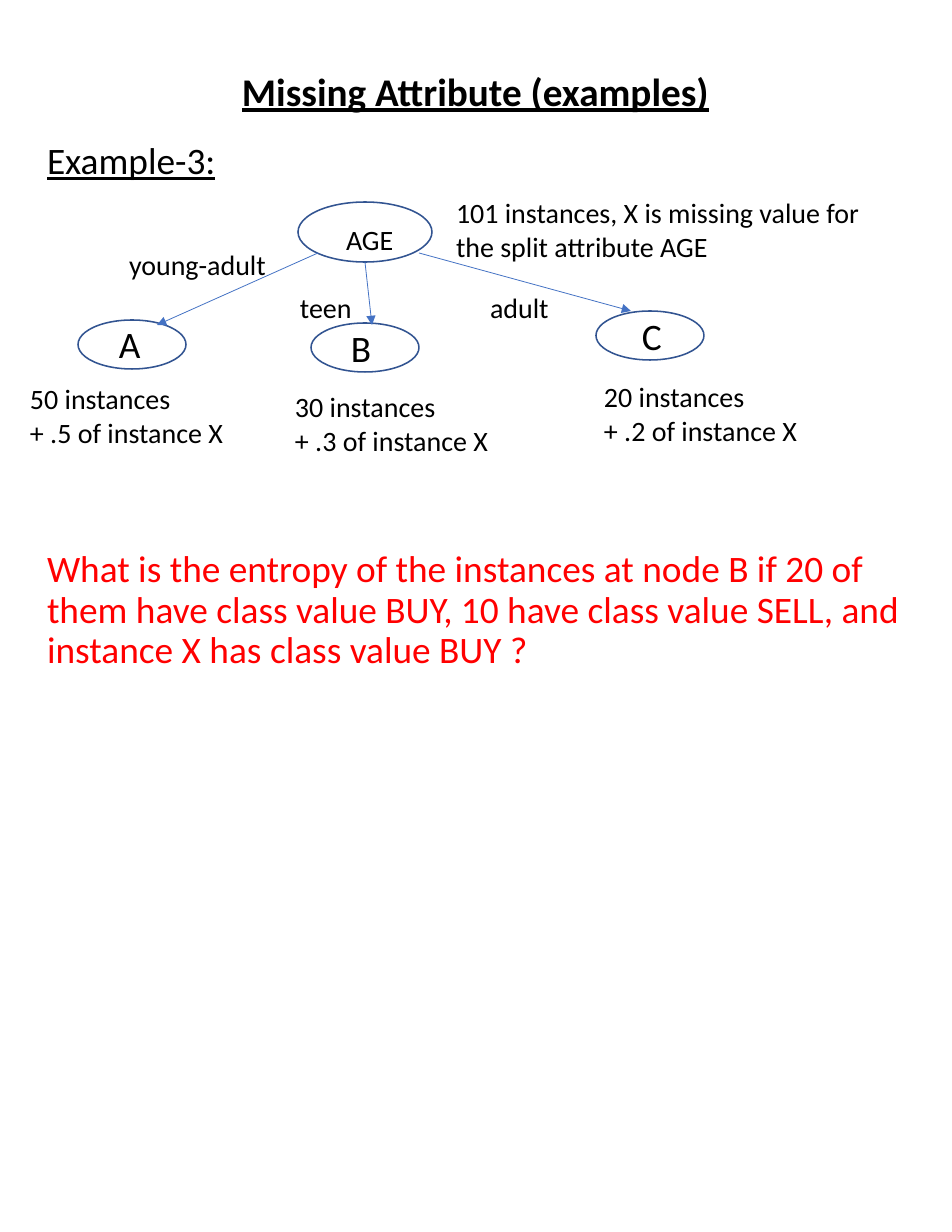
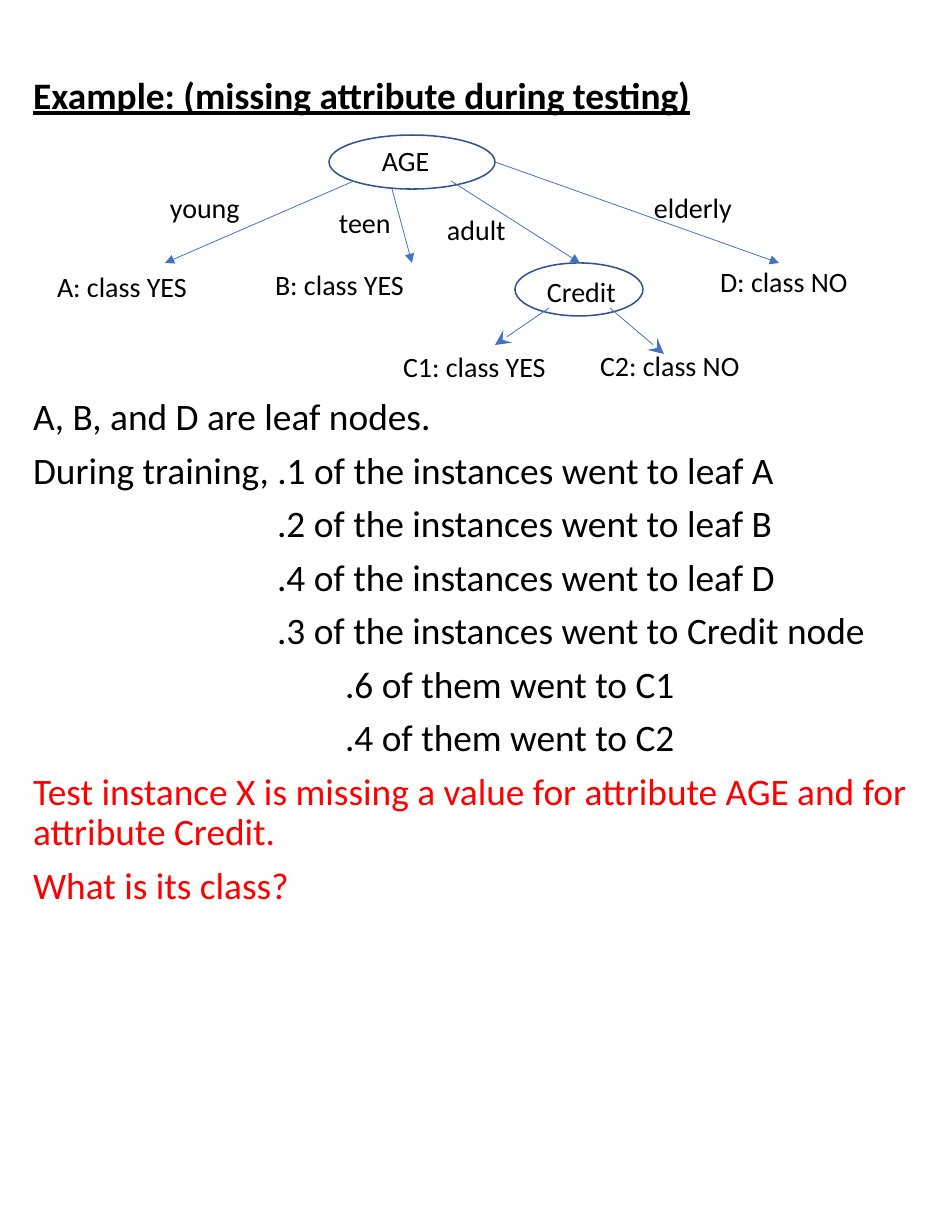
import pptx
import pptx.dml.color
import pptx.enum.shapes
import pptx.enum.text
import pptx.oxml
import pptx.oxml.ns
import pptx.util

BLACK = pptx.dml.color.RGBColor(0x00, 0x00, 0x00)
RED = pptx.dml.color.RGBColor(0xFF, 0x00, 0x00)
NODE_BLUE = pptx.dml.color.RGBColor(0x32, 0x54, 0x91)
ARROW_BLUE = pptx.dml.color.RGBColor(0x44, 0x72, 0xC4)
FONT = "Calibri"
PX_PER_INCH = 112
LEFT = pptx.enum.text.PP_ALIGN.LEFT
CENTER = pptx.enum.text.PP_ALIGN.CENTER
TOP = pptx.enum.text.MSO_ANCHOR.TOP
MIDDLE = pptx.enum.text.MSO_ANCHOR.MIDDLE

LABEL = {"size": 18}
LETTER = {"size": 24}
BODY = {"size": 24, "line_spacing": 0.9, "space_before": 8.5}
HEADING = {"size": 24, "line_spacing": 0.9, "bold": True, "underline": True}

# Content: boxes are (left, top, width, height), body lines (text, indent, colour)
SLIDES = [
    {
        "title": ("Missing Attribute (examples)", (65, 66, 821, 55),
                  {**HEADING, "size": 25.2, "alignment": CENTER}),
        "bodies": [
            ((36, 137, 880, 55), [("Example-3:", 0, BLACK)], {"underline": True}),
            ((36, 545, 880, 140), [
                ("What is the entropy of the instances at node B if 20 of them "
                 "have class value BUY, 10 have class value SELL, and instance X "
                 "has class value BUY ?", 0, RED)], {}),
        ],
        "nodes": [(298, 202, 134, 60), (78, 320, 108, 49),
                  (311, 323, 108, 49), (596, 311, 108, 49)],
        "arrows": [
            ((318, 253), (157, 325), "triangle"),
            ((365, 262), (372, 325), "triangle"),
            ((419, 253), (631, 311), "triangle"),
        ],
        "letters": [("A", 108, 316, 50), ("B", 340, 320, 50), ("C", 631, 308, 50)],
        "labels": [
            ("AGE", 335, 217, 75),
            ("young-adult", 118, 242, 170),
            ("teen", 289, 285, 80),
            ("adult", 479, 285, 90),
            ("101 instances, X is missing value for\nthe split attribute AGE",
             445, 190, 450),
            ("50 instances\n+ .5 of instance X", 19, 376, 230),
            ("30 instances\n+ .3 of instance X", 284, 384, 230),
            ("20 instances\n+ .2 of instance X", 593, 374, 230),
        ],
    },
    {
        "title": ("Example: (missing attribute during testing)",
                  (22, 72, 930, 50), {**HEADING, "alignment": LEFT}),
        "bodies": [
            ((22, 393, 930, 530), [
                ("A, B, and D are leaf nodes.", 0, BLACK),
                ("During training, .1 of the instances went to leaf A", 0, BLACK),
                (".2 of the instances went to leaf B", 244, BLACK),
                (".4 of the instances went to leaf D", 244, BLACK),
                (".3 of the instances went to Credit node", 244, BLACK),
                (".6 of them went to C1", 312, BLACK),
                (".4 of them went to C2", 312, BLACK),
                ("Test instance X is missing a value for attribute AGE and for "
                 "attribute Credit.", 0, RED),
                ("What is its class?", 0, RED)], {}),
        ],
        "nodes": [(329, 135, 166, 54), (515, 263, 128, 53)],
        "arrows": [
            ((354, 181), (165, 263), "triangle"),
            ((392, 189), (412, 263), "triangle"),
            ((451, 181), (580, 263), "triangle"),
            ((495, 162), (779, 263), "triangle"),
            ((549, 308), (495, 345), "stealth"),
            ((610, 308), (664, 354), "stealth"),
        ],
        "letters": [],
        "labels": [
            ("AGE", 371, 138, 83),
            ("young", 159, 185, 121),
            ("teen", 328, 200, 83),
            ("adult", 436, 207, 82),
            ("elderly", 643, 185, 156),
            ("A: class YES", 46, 264, 161),
            ("B: class YES", 264, 262, 161),
            ("D: class NO", 709, 259, 161),
            ("Credit", 536, 269, 95),
            ("C1: class YES", 392, 344, 166),
            ("C2: class NO", 589, 343, 166),
        ],
    },
]


def px(*lengths):
    return [pptx.util.Inches(length / PX_PER_INCH) for length in lengths]


def write_lines(shape, lines, style, anchor):
    """Fill a text frame; each line is (text, indent, colour)."""
    frame = shape.text_frame
    frame.word_wrap = True
    frame.auto_size = pptx.enum.text.MSO_AUTO_SIZE.NONE
    frame.vertical_anchor = anchor
    for index, (text, indent, colour) in enumerate(lines):
        paragraph = frame.add_paragraph() if index else frame.paragraphs[0]
        paragraph.text = text
        paragraph.font.name = FONT
        paragraph.font.color.rgb = colour
        if indent:
            paragraph._p.get_or_add_pPr().set("marL", str(px(indent)[0]))
        for name, value in style.items():
            if name in ("size", "space_before"):
                value = pptx.util.Pt(value)
            owner = paragraph.font if name in ("size", "bold", "underline") else paragraph
            setattr(owner, name, value)


def add_title(slide, text, box, style):
    title = slide.shapes.title
    for name, value in zip(("left", "top", "width", "height"), px(*box)):
        setattr(title, name, value)
    write_lines(title, [(text, 0, BLACK)], style, MIDDLE)


def add_text(slide, box, lines, style):
    write_lines(slide.shapes.add_textbox(*px(*box)), lines, style, TOP)


def add_label(slide, text, left, top, width, style):
    lines = [(line, 0, BLACK) for line in text.split("\n")]
    height = 12 + round(len(lines) * style["size"] * 1.9)
    add_text(slide, (left, top, width, height), lines, style)


def add_node(slide, box):
    node = slide.shapes.add_shape(pptx.enum.shapes.MSO_SHAPE.OVAL, *px(*box))
    node.shadow.inherit = False
    node.fill.background()
    node.line.color.rgb = NODE_BLUE
    node.line.width = pptx.util.Pt(1)


def add_arrow(slide, start, end, head):
    arrow = slide.shapes.add_connector(
        pptx.enum.shapes.MSO_CONNECTOR.STRAIGHT, *px(*start, *end))
    arrow.line.color.rgb = ARROW_BLUE
    arrow.line.width = pptx.util.Pt(0.5)
    size = "lg" if head == "stealth" else "med"
    namespace = pptx.oxml.ns.nsdecls("a")
    arrow.line._get_or_add_ln().append(pptx.oxml.parse_xml(
        f'<a:tailEnd {namespace} type="{head}" w="{size}" len="{size}"/>'))
    arrow._element.spPr.append(pptx.oxml.parse_xml(f"<a:effectLst {namespace}/>"))


def main():
    presentation = pptx.Presentation()
    presentation.slide_width, presentation.slide_height = px(952, 1232)
    title_only = presentation.slide_layouts[5]
    for content in SLIDES:
        slide = presentation.slides.add_slide(title_only)
        add_title(slide, *content["title"])
        # Running text
        for box, lines, extra in content["bodies"]:
            add_text(slide, box, lines, {**BODY, **extra})
        # Decision tree
        for box in content["nodes"]:
            add_node(slide, box)
        for start, end, head in content["arrows"]:
            add_arrow(slide, start, end, head)
        for key, style in (("letters", LETTER), ("labels", LABEL)):
            for label in content[key]:
                add_label(slide, *label, style)
    presentation.save("out.pptx")


if __name__ == "__main__":
    main()
